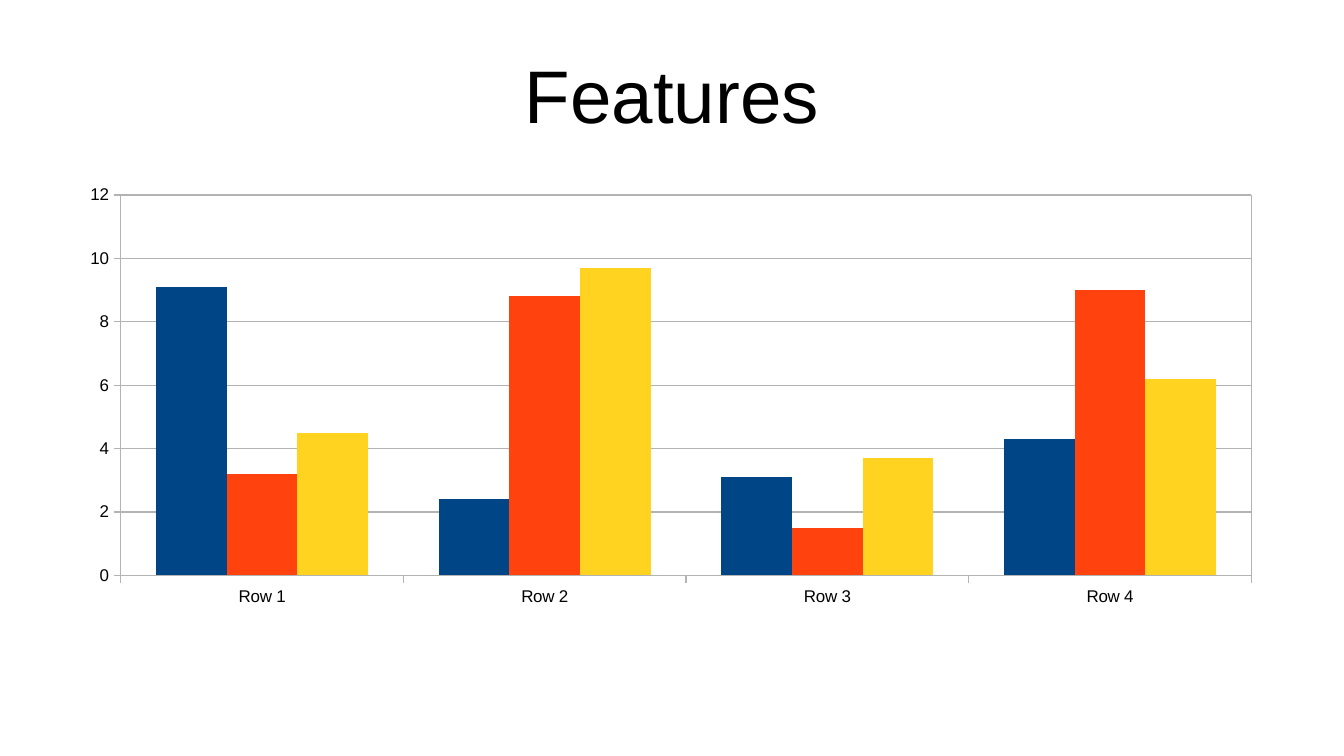
import pptx
import pptx.chart.data
import pptx.dml.color
import pptx.enum.chart
import pptx.enum.text
import pptx.oxml
import pptx.oxml.ns
import pptx.util
from dataclasses import dataclass

Inches = pptx.util.Inches


@dataclass(frozen=True)
class Theme:
    font: str = "Arial"
    text: str = "000000"
    rule: str = "B3B3B3"
    series: tuple = ("004586", "FF420E", "FFD320")
    title_size: int = 44
    chart_size: int = 10


class SlideBuilder:
    def __init__(self, slide, theme):
        self.slide = slide
        self.theme = theme

    def style_font(self, font, size):
        font.name = self.theme.font
        font.size = pptx.util.Pt(size)
        font.color.rgb = pptx.dml.color.RGBColor.from_string(self.theme.text)

    def style_rule(self, line):
        line.width = 0
        line.color.rgb = pptx.dml.color.RGBColor.from_string(self.theme.rule)

    def add_title(self, text, area):
        box = self.slide.shapes.add_textbox(*map(Inches, area))
        frame = box.text_frame
        frame.word_wrap = True
        frame.vertical_anchor = pptx.enum.text.MSO_ANCHOR.MIDDLE
        frame.margin_left = frame.margin_right = 0
        frame.margin_top = frame.margin_bottom = 0
        frame.text = text
        para = frame.paragraphs[0]
        para.alignment = pptx.enum.text.PP_ALIGN.CENTER
        self.style_font(para.runs[0].font, self.theme.title_size)

    def add_column_chart(self, categories, series, area, plot_area):
        data = pptx.chart.data.CategoryChartData()
        data.categories = categories
        for name, values in series.items():
            data.add_series(name, values)
        kind = pptx.enum.chart.XL_CHART_TYPE.COLUMN_CLUSTERED
        chart = self.slide.shapes.add_chart(kind, *map(Inches, area), data).chart
        chart.has_title = False
        chart.has_legend = False
        self.style_font(chart.font, self.theme.chart_size)

        plot = chart.plots[0]
        plot.vary_by_categories = False
        plot.gap_width = 100
        plot.overlap = 0
        for column, color in zip(plot.series, self.theme.series):
            column.format.fill.solid()
            column.format.fill.fore_color.rgb = pptx.dml.color.RGBColor.from_string(color)

        for axis in (chart.category_axis, chart.value_axis):
            axis.major_tick_mark = pptx.enum.chart.XL_TICK_MARK.OUTSIDE
            axis.minor_tick_mark = pptx.enum.chart.XL_TICK_MARK.NONE
            self.style_rule(axis.format.line)
            self.style_font(axis.tick_labels.font, self.theme.chart_size)
        chart.value_axis.minimum_scale = 0
        chart.value_axis.maximum_scale = 12
        chart.value_axis.major_unit = 2
        self.style_rule(chart.value_axis.major_gridlines.format.line)
        self.frame_plot(chart, area, plot_area)

    def frame_plot(self, chart, area, plot_area):
        """Place the inner plot at plot_area (slide inches) and outline it."""
        left, top, width, height = area
        plot_left, plot_top, plot_width, plot_height = plot_area
        shares = {
            "x": (plot_left - left) / width,
            "y": (plot_top - top) / height,
            "w": plot_width / width,
            "h": plot_height / height,
        }
        sizes = "".join(f'<c:{key} val="{share:.4f}"/>' for key, share in shares.items())
        namespaces = pptx.oxml.ns.nsdecls("c", "a")
        layout = pptx.oxml.parse_xml(
            f'<c:layout {namespaces}><c:manualLayout><c:layoutTarget val="inner"/>'
            f'<c:xMode val="edge"/><c:yMode val="edge"/>{sizes}</c:manualLayout></c:layout>'
        )
        outline = pptx.oxml.parse_xml(
            f'<c:spPr {namespaces}><a:noFill/><a:ln w="0"><a:solidFill>'
            f'<a:srgbClr val="{self.theme.rule}"/></a:solidFill></a:ln></c:spPr>'
        )
        plot_element = chart.element.find(".//" + pptx.oxml.ns.qn("c:plotArea"))
        for old_layout in plot_element.findall(pptx.oxml.ns.qn("c:layout")):
            plot_element.remove(old_layout)
        plot_element.insert(0, layout)
        plot_element.append(outline)


def main():
    deck = pptx.Presentation()
    deck.slide_width = Inches(11.02)
    deck.slide_height = Inches(6.2)
    page = SlideBuilder(deck.slides.add_slide(deck.slide_layouts[6]), Theme())
    page.add_title("Features", (0.55, 0.25, 9.92, 1.03))
    page.add_column_chart(
        [f"Row {number}" for number in range(1, 5)],
        {
            "Series 1": (9.1, 2.4, 3.1, 4.3),
            "Series 2": (3.2, 8.8, 1.5, 9),
            "Series 3": (4.5, 9.7, 3.7, 6.2),
        },
        area=(0.55, 1.45, 9.92, 3.6),
        plot_area=(0.99, 1.6, 9.27, 3.12),
    )
    deck.save("out.pptx")


if __name__ == "__main__":
    main()
